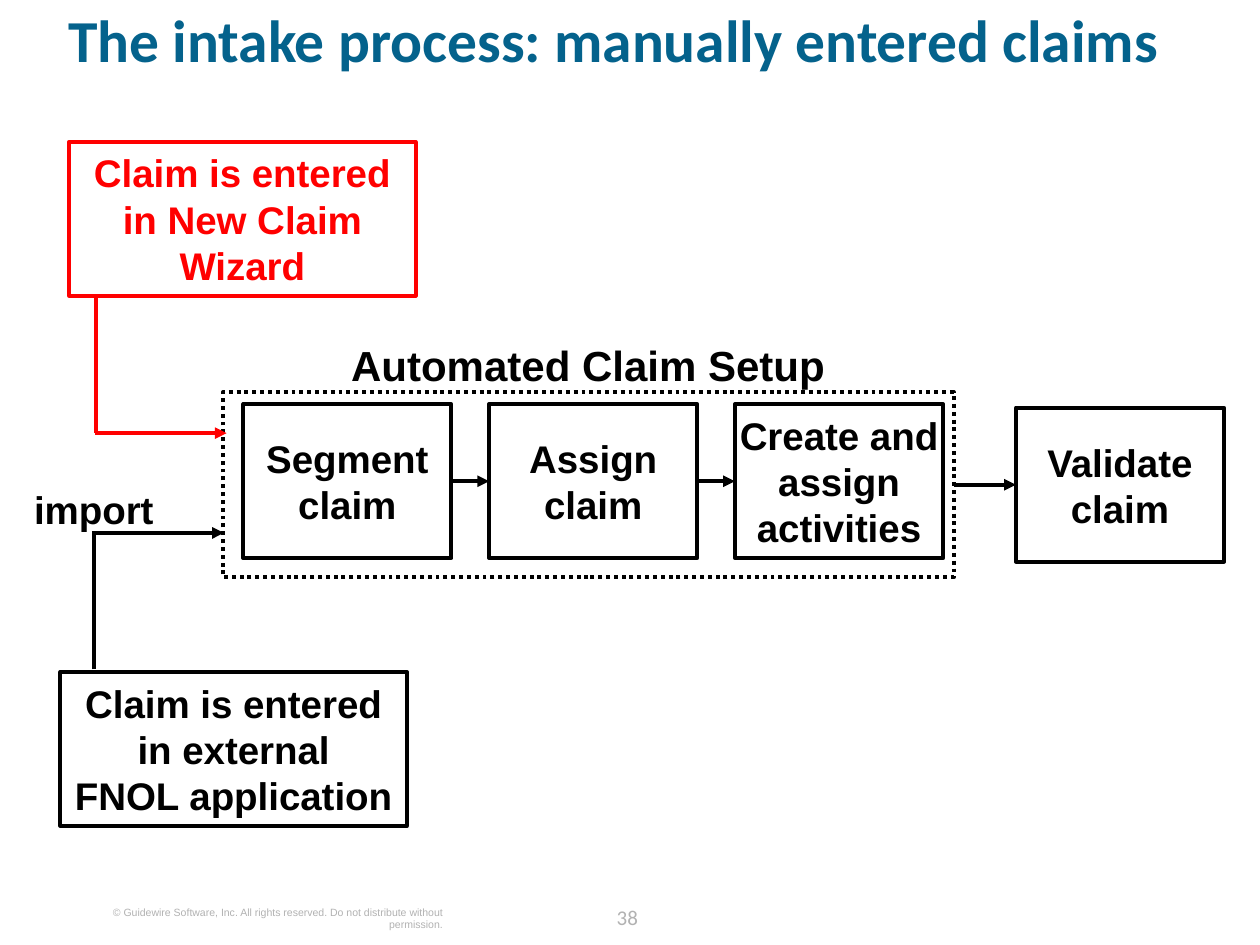
from lxml import etree
from pptx import Presentation
from pptx.dml.color import RGBColor
from pptx.enum.dml import MSO_LINE
from pptx.enum.shapes import MSO_CONNECTOR, MSO_SHAPE
from pptx.enum.text import MSO_ANCHOR, PP_ALIGN
from pptx.oxml.ns import qn
from pptx.util import Pt

RECTANGLE = MSO_SHAPE.RECTANGLE
STRAIGHT = MSO_CONNECTOR.STRAIGHT
DOTTED = MSO_LINE.ROUND_DOT
TOP, MIDDLE = MSO_ANCHOR.TOP, MSO_ANCHOR.MIDDLE
LEFT, CENTER, RIGHT = PP_ALIGN.LEFT, PP_ALIGN.CENTER, PP_ALIGN.RIGHT
SIDE_LEFT, SIDE_RIGHT = 1, 3
BLACK, RED, WHITE, BLUE, GREY = "000000", "FF0000", "FFFFFF", "04628C", "B2B2B2"
LINE_WIDTH = 2.25
STEP_WIDTH, BOX_HEIGHT, ENTRY_WIDTH = 119, 88, 198


def color(value):
    """Turn a hex string into a colour."""
    return RGBColor.from_string(value)


def write(box, text, size, ink=BLACK, font="Arial", bold=True, align=CENTER,
          anchor=TOP, inset=0, spacing=None):
    """Fill a box with one formatted paragraph."""
    frame = box.text_frame
    frame.word_wrap = True
    frame.vertical_anchor = anchor
    frame.margin_left = frame.margin_right = Pt(inset)
    frame.margin_top = frame.margin_bottom = 0
    para = frame.paragraphs[0]
    para.text = text
    para.alignment = align
    if spacing is not None:
        para.line_spacing = spacing
    for span in para.runs:
        span.font.name = font
        span.font.size = Pt(size)
        span.font.bold = bold
        span.font.color.rgb = color(ink)


def add_label(page, left, top, width, height, text, size, **style):
    """Add a text box with one paragraph."""
    box = page.shapes.add_textbox(Pt(left), Pt(top), Pt(width), Pt(height))
    write(box, text, size, **style)


def add_box(page, left, top, width, height, text, ink=BLACK, inset=0):
    """Add an outlined white rectangle with centred bold text."""
    box = page.shapes.add_shape(RECTANGLE, Pt(left), Pt(top), Pt(width), Pt(height))
    box.shadow.inherit = False
    box.fill.solid()
    box.fill.fore_color.rgb = color(WHITE)
    box.line.color.rgb = color(ink)
    box.line.width = Pt(LINE_WIDTH)
    write(box, text, 22, ink=ink, anchor=MIDDLE, inset=inset)
    return box


def add_line(page, x1, y1, x2, y2, ink=BLACK, arrow=True):
    """Add a straight line, with an arrowhead at its end if wanted."""
    line = page.shapes.add_connector(STRAIGHT, Pt(x1), Pt(y1), Pt(x2), Pt(y2))
    line.line.color.rgb = color(ink)
    line.line.width = Pt(LINE_WIDTH)
    if arrow:
        etree.SubElement(line.line._get_or_add_ln(), qn("a:tailEnd"), type="triangle")
    etree.SubElement(line._element.spPr, qn("a:effectLst"))
    return line


def join(page, source, target):
    """Draw an arrow from the right side of one box to the left side of another."""
    arrow = add_line(page, 0, 0, 0, 0)
    arrow.begin_connect(source, SIDE_RIGHT)
    arrow.end_connect(target, SIDE_LEFT)


def add_setup(page, left, top, width, height):
    """Add the dotted setup frame with its heading and three linked steps."""
    frame = add_box(page, left, top, width, height, "")
    frame.fill.background()
    frame.line.dash_style = DOTTED
    add_label(page, left + 51, top - 30, 315, 29, "Automated Claim Setup", 24)
    texts = ["Segment\vclaim", "Assign\vclaim", "Create and assign activities"]
    steps = [add_box(page, left + 11.5 + 140.5 * index, top + 7, STEP_WIDTH, BOX_HEIGHT, text)
             for index, text in enumerate(texts)]
    for source, target in zip(steps, steps[1:]):
        join(page, source, target)
    return frame


def add_entry(page, left, top, text, ink, bend_x, start_y, end_x, end_y):
    """Add an entry box and its bent arrow into the setup frame."""
    add_box(page, left, top, ENTRY_WIDTH, BOX_HEIGHT, text, ink, inset=7)
    add_line(page, bend_x, start_y, bend_x, end_y, ink, arrow=False)
    add_line(page, bend_x - 1, end_y, end_x, end_y, ink)


def add_footer(page, left, top):
    """Add the copyright line and the page number."""
    add_label(page, left, top + 4, 209, 16,
              "© Guidewire Software, Inc. All rights reserved. "
              "Do not distribute without permission.",
              6, ink=GREY, bold=False, align=RIGHT)
    add_label(page, left + 294, top, 41, 18, "38", 12, ink=GREY, font="Calibri",
              bold=False, spacing=Pt(18))


def main():
    """Build the claim intake slide."""
    deck = Presentation()
    deck.slide_width, deck.slide_height = Pt(720), Pt(540)
    page = deck.slides.add_slide(deck.slide_layouts[6])
    add_label(page, 39, 9.5, 655, 58, "The intake process: manually entered claims",
              34, ink=BLUE, font="Calibri", align=LEFT, spacing=0.8)
    frame = add_setup(page, 127.5, 224, 417.5, 106)
    validate = add_box(page, 580.5, 233, STEP_WIDTH, BOX_HEIGHT, "Validate\vclaim")
    join(page, frame, validate)
    add_entry(page, 39.5, 81, "Claim is entered in New Claim Wizard", RED,
              55, 169, 129.5, 247.5)
    add_entry(page, 34.5, 384, "Claim is entered in external\vFNOL application", BLACK,
              53.5, 382.5, 128, 304.5)
    add_label(page, 19.5, 277.5, 77, 27, "import", 22, align=LEFT)
    add_footer(page, 44, 513.5)
    deck.save("out.pptx")


if __name__ == "__main__":
    main()
